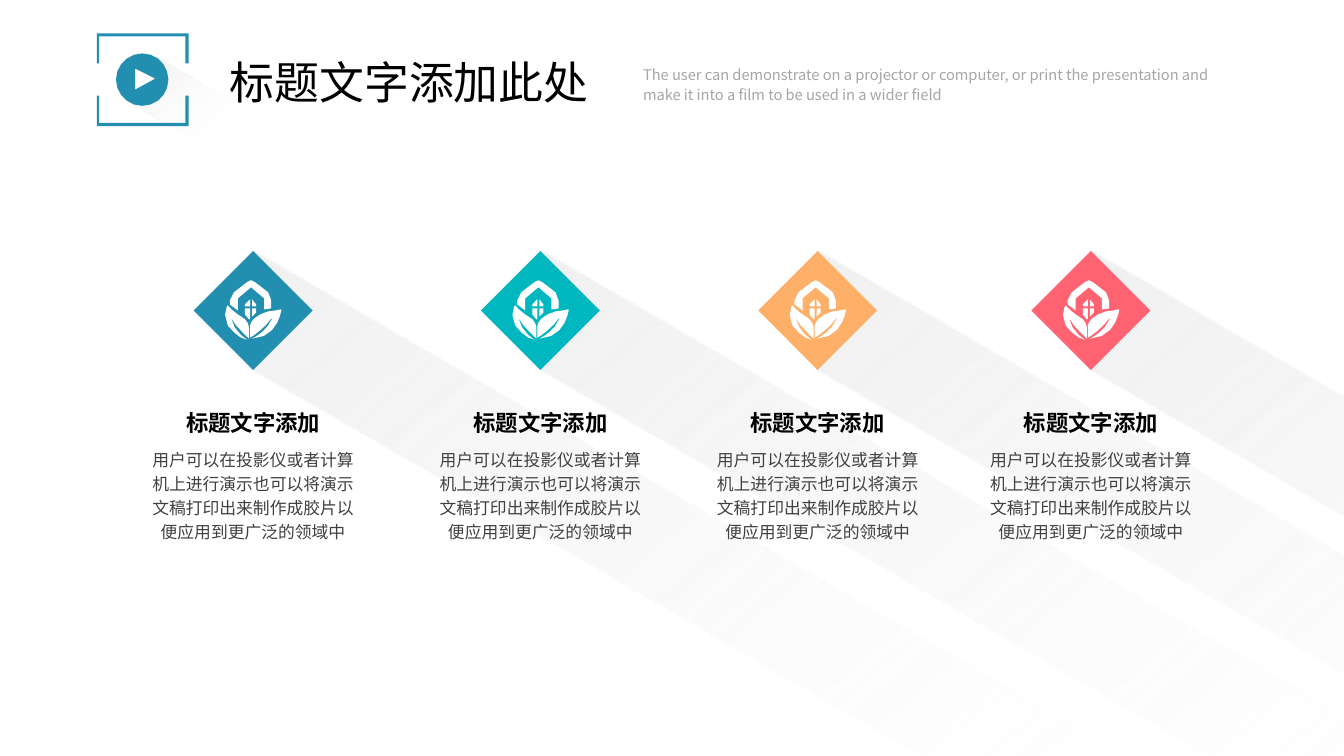
from math import dist

from lxml.etree import SubElement
from pptx import Presentation
from pptx.dml.color import RGBColor
from pptx.enum.shapes import MSO_SHAPE
from pptx.enum.text import MSO_AUTO_SIZE, PP_ALIGN
from pptx.oxml.ns import qn
from pptx.util import Inches, Pt

HEADING = "标题文字添加此处"
INTRO = ("The user can demonstrate on a projector or computer, or print the "
         "presentation and make it into a film to be used in a wider field")
ITEM_TITLE = "标题文字添加"
ITEM_BODY = "用户可以在投影仪或者计算机上进行演示也可以将演示文稿打印出来制作成胶片以便应用到更广泛的领域中"
# Each item: centre in inches, diamond colour, title, body
ITEMS = [
    (2.51, "228EB0", ITEM_TITLE, ITEM_BODY),
    (5.36, "00B6BF", ITEM_TITLE, ITEM_BODY),
    (8.11, "FEB068", ITEM_TITLE, ITEM_BODY),
    (10.82, "FF6372", ITEM_TITLE, ITEM_BODY),
]

THEME = {
    "accent": "228EB0", "icon": "FFFFFF", "title": "000000",
    "intro": "A6A6A6", "body": "404040",
    "font": "Arial", "intro_font": "Noto Sans CJK SC",
    "heading_size": 32, "intro_size": 10.5, "title_size": 16, "body_size": 12,
    # Gradient stops: position, colour, opacity, all in percent
    "long_shadow": [(0, "D9D9D9", 40), (85, "F2F2F2", 0), (100, "FFFFFF", 0)],
    "badge_shadow": [(0, "D9D9D9", 50), (85, "FFFFFF", 0), (100, "FFFFFF", 0)],
}

# Outlines in hundredths of an inch: M move, L line, C curve, Z close
LONG_SHADOW = "M 57 103 L 0 0 L 1185 2 L 1185 103 Z"
BADGE_SHADOW = "M 0 52 C 0 43 14 34 14 26 L 1 0 L 91 0 L 91 52 Z"
BRACKETS = ("M 0 62 L 2 62 L 2 89 L 88 89 L 88 62 L 91 62 L 91 92 L 0 92 Z "
            "M 0 0 L 91 0 L 91 30 L 88 30 L 88 3 L 2 3 L 2 30 L 0 30 Z")
PLAY_DISC = ("M 19 15 L 19 36 L 39 25 Z "
             "M 26 0 C 41 0 52 12 52 26 C 52 40 41 52 26 52 "
             "C 12 52 0 40 0 26 C 0 12 12 0 26 0 Z")
HOUSE_IN_LEAVES = (
    "M 56 29 L 56 30 C 55 36 50 57 27 58 C 31 56 42 50 47 38 "
    "L 46 38 C 41 46 29 55 25 57 L 25 45 C 25 44 25 42 26 42 "
    "C 27 40 29 37 35 34 C 43 29 51 31 55 29 Z "
    "M 27 28 L 31 28 L 31 32 C 29 34 28 35 27 36 Z "
    "M 20 28 L 25 28 L 25 38 L 24 39 C 23 37 22 36 20 34 Z "
    "M 3 25 L 4 26 C 5 28 8 30 13 34 C 20 37 22 41 23 43 "
    "C 24 44 24 46 24 47 L 24 58 C 20 54 9 44 6 37 "
    "C 8 48 17 56 22 59 C 15 58 10 53 3 45 C -2 38 1 30 2 26 Z "
    "M 27 19 C 29 19 31 21 31 24 L 31 26 L 27 26 Z "
    "M 25 19 L 25 26 L 20 26 L 20 24 C 20 21 22 19 25 19 Z "
    "M 26 0 C 28 0 29 1 30 2 L 43 12 C 45 14 46 17 46 20 L 46 28 "
    "C 44 28 42 28 39 29 L 39 18 L 26 7 L 13 18 L 13 30 "
    "C 8 27 6 25 5 24 L 5 20 C 5 17 7 14 9 12 L 22 2 C 23 1 24 0 26 0 Z")
CURVE_PIECE = 8


def contours(outline):
    """Turn an outline into lists of points, with curves split into short lines."""
    result = []
    for contour in outline.split("Z")[:-1]:
        tokens = contour.split()
        points = []
        while tokens:
            command = tokens.pop(0)
            count = 6 if command == "C" else 2
            numbers = [int(token) for token in tokens[:count]]
            del tokens[:count]
            if command != "C":
                points.append(tuple(numbers))
                continue
            controls = [points[-1], *zip(numbers[::2], numbers[1::2])]
            steps = max(1, round(dist(controls[0], controls[-1]) / CURVE_PIECE))
            for step in range(1, steps + 1):
                t = step / steps
                weights = ((1 - t) ** 3, 3 * t * (1 - t) ** 2, 3 * t * t * (1 - t), t ** 3)
                points.append(tuple(sum(w * p[axis] for w, p in zip(weights, controls))
                                    for axis in (0, 1)))
        result.append([(Inches(x / 100), Inches(y / 100)) for x, y in points])
    return result


def finish(shape, color):
    shape.shadow.inherit = False
    shape.line.fill.background()
    shape.fill.solid()
    shape.fill.fore_color.rgb = RGBColor.from_string(color)


def add_outline(slide, outline, left, top, color):
    first, *others = contours(outline)
    builder = slide.shapes.build_freeform(*first[0], scale=1.0)
    builder.add_line_segments(first[1:], close=True)
    for points in others:
        builder.move_to(*points[0])
        builder.add_line_segments(points[1:], close=True)
    shape = builder.convert_to_shape(Inches(left), Inches(top))
    finish(shape, color)
    return shape


def add_cast_shadow(slide, outline, left, top, stops):
    """Add an outline turned by 30 degrees that fades to transparent."""
    shape = add_outline(slide, outline, left, top, stops[0][1])
    shape.rotation = 30
    shape.fill.gradient()
    gradient = shape.element.spPr.find(qn("a:gradFill"))
    for child in list(gradient):
        gradient.remove(child)
    gradient.set("rotWithShape", "1")
    stop_list = SubElement(gradient, qn("a:gsLst"))
    for position, color, opacity in stops:
        stop = SubElement(stop_list, qn("a:gs"), pos=str(position * 1000))
        rgb = SubElement(stop, qn("a:srgbClr"), val=color)
        SubElement(rgb, qn("a:alpha"), val=str(opacity * 1000))
    SubElement(gradient, qn("a:lin"), ang=str(20 * 60000), scaled="0")


def add_text(slide, text, box, size, color, font=THEME["font"], bold=False,
             align=PP_ALIGN.LEFT, spacing=1.0, wrap=True):
    frame = slide.shapes.add_textbox(*map(Inches, box)).text_frame
    frame.word_wrap = wrap
    frame.auto_size = MSO_AUTO_SIZE.SHAPE_TO_FIT_TEXT
    frame.text = text
    paragraph = frame.paragraphs[0]
    paragraph.alignment = align
    paragraph.line_spacing = spacing
    run_font = paragraph.runs[0].font
    run_font.name = font
    run_font.size = Pt(size)
    run_font.bold = bold
    run_font.color.rgb = RGBColor.from_string(color)


def add_header(slide):
    add_cast_shadow(slide, BADGE_SHADOW, 1.34, 0.75, THEME["badge_shadow"])
    add_outline(slide, BRACKETS, 0.96, 0.33, THEME["accent"])
    add_outline(slide, PLAY_DISC, 1.15, 0.53, THEME["accent"])
    add_text(slide, HEADING, (2.18, 0.49, 3.79, 0.64), THEME["heading_size"],
             THEME["title"], wrap=False)
    add_text(slide, INTRO, (6.28, 0.58, 6.09, 0.5), THEME["intro_size"],
             THEME["intro"], font=THEME["intro_font"], spacing=1.14)


def add_item(slide, center, color, title, body):
    side = 1.18
    diamond = slide.shapes.add_shape(
        MSO_SHAPE.DIAMOND, Inches(center - side / 2), Inches(2.49), Inches(side), Inches(side))
    finish(diamond, color)
    add_outline(slide, HOUSE_IN_LEAVES, center - 0.28, 2.78, THEME["icon"])
    title_width, body_width = 2.45, 2.25
    add_text(slide, body, (center - body_width / 2, 4.37, body_width, 1.07),
             THEME["body_size"], THEME["body"], align=PP_ALIGN.CENTER, spacing=1.2)
    add_text(slide, title, (center - title_width / 2, 3.96, title_width, 0.44),
             THEME["title_size"], THEME["title"], bold=True,
             align=PP_ALIGN.CENTER, spacing=1.2)


def main():
    presentation = Presentation()
    presentation.slide_width = Inches(13.33)
    presentation.slide_height = Inches(7.5)
    slide = presentation.slides.add_slide(presentation.slide_layouts[6])
    for center, *_ in ITEMS:
        add_cast_shadow(slide, LONG_SHADOW, center - 1.05, 5.38, THEME["long_shadow"])
    add_header(slide)
    for item in ITEMS:
        add_item(slide, *item)
    presentation.save("out.pptx")


if __name__ == "__main__":
    main()
